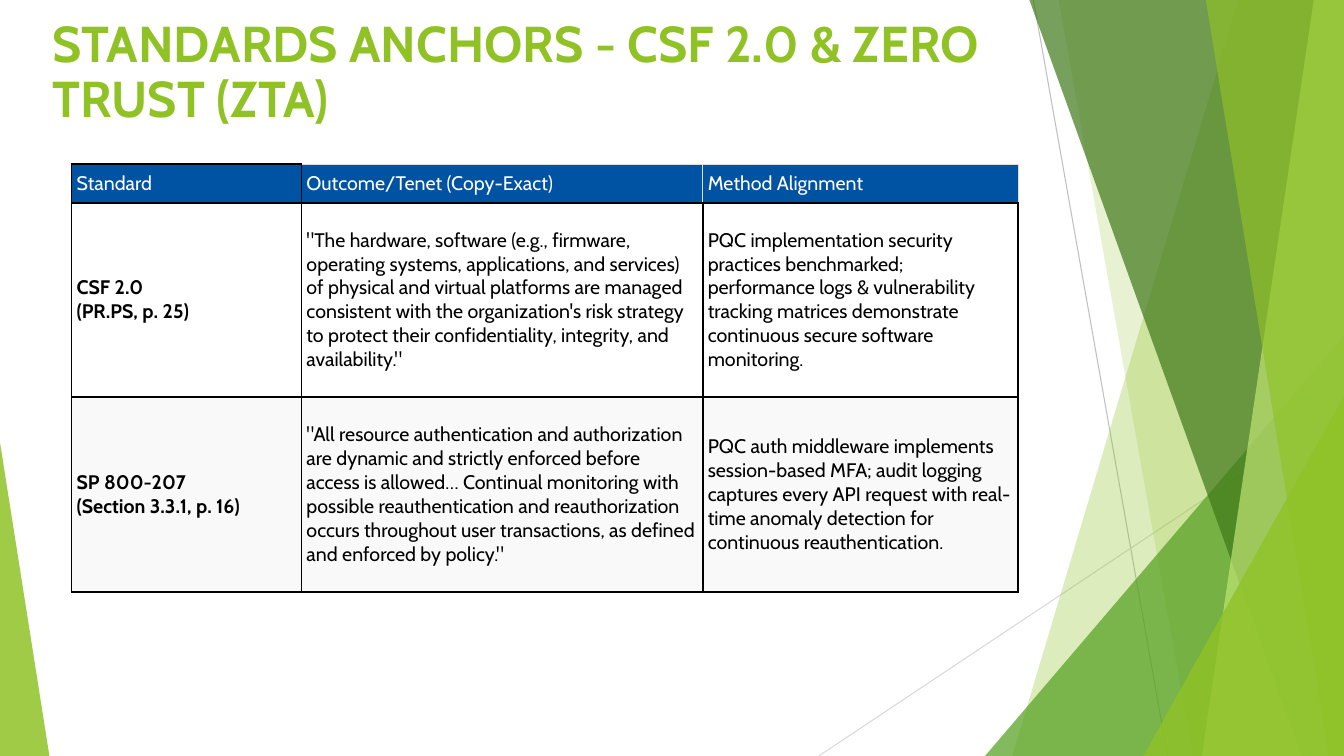
from dataclasses import dataclass

from lxml import etree
from pptx import Presentation
from pptx.dml.color import RGBColor
from pptx.enum import shapes, text
from pptx.oxml import parse_xml
from pptx.oxml.ns import nsdecls, qn
from pptx.util import Inches, Pt


@dataclass(frozen=True)
class Theme:
    font: str = "Cabin"
    title_size: int = 36
    table_size: int = 14
    lime: str = "90C226"
    green: str = "54A021"
    forest: str = "3F7819"
    pale: str = "C0E474"
    gray: str = "BFBFBF"
    light_gray: str = "D9D9D9"
    header: str = "0052A3"
    band: str = "F9F9F9"
    rule: str = "DDDDDD"
    white: str = "FFFFFF"
    black: str = "000000"


THEME = Theme()
WIDTH, HEIGHT = 13.33, 7.5

TITLE = "STANDARDS ANCHORS - CSF 2.0 & ZERO TRUST (ZTA)"
ROWS = [
    ("Standard", "Outcome/Tenet (Copy-Exact)", "Method Alignment"),
    (
        "CSF 2.0\v(PR.PS, p. 25)",
        "\"The hardware, software (e.g., firmware, operating systems, applications, and services) "
        "of physical and virtual platforms are managed consistent with the organization's risk "
        "strategy to protect their confidentiality, integrity, and availability.\"",
        "PQC implementation security practices benchmarked; performance logs & vulnerability "
        "tracking matrices demonstrate continuous secure software monitoring.",
    ),
    (
        "SP 800-207\v(Section 3.3.1, p. 16)",
        "\"All resource authentication and authorization are dynamic and strictly enforced before "
        "access is allowed… Continual monitoring with possible reauthentication and "
        "reauthorization occurs throughout user transactions, as defined and enforced by policy.\"",
        "PQC auth middleware implements session-based MFA; audit logging captures every API "
        "request with real-time anomaly detection for continuous reauthentication.",
    ),
]
TABLE_LEFT, TABLE_TOP = 0.71, 1.63
COL_WIDTHS = (2.28, 3.98, 3.13)
ROW_HEIGHTS = (0.38, 1.93, 1.93)
ROW_FILLS = (THEME.header, None, THEME.band)

# start, end, colour
HAIRLINES = [
    ((10.25, 0), (11.58, HEIGHT), THEME.gray),
    ((WIDTH, 4.03), (8.12, HEIGHT), THEME.light_gray),
]
# Bands run to the right edge: ("band", top x, bottom x, colour, opacity %)
# Wedges stand on the bottom edge: ("wedge", left, width, height, apex, colour, opacity %)
FACETS = [
    ("band", 12.28, 10.04, THEME.lime, 30),
    ("band", 10.5, 11.83, THEME.lime, 20),
    ("wedge", 9.77, 3.56, 4.17, 1, THEME.green, 72),
    ("band", 10.21, 12.91, THEME.forest, 70),
    ("band", 13.03, 11.92, THEME.pale, 70),
    ("band", 11.96, 13.18, THEME.lime, 65),
    ("wedge", 11.34, 1.99, 3.57, 1, THEME.lime, 80),
    ("wedge", 0, 0.49, 3.11, 0, THEME.lime, 85),
]


def rgb(color):
    return RGBColor.from_string(color)


def add_hairline(slide, start, end, color):
    line = slide.shapes.add_connector(
        shapes.MSO_CONNECTOR.STRAIGHT, *(Inches(v) for v in start + end))
    line.line.color.rgb = rgb(color)
    line.line.width = Pt(0.75)
    etree.SubElement(line._element.spPr, qn("a:effectLst"))


def paint(sp, color, opacity):
    """Give a shape a translucent fill with no outline or shadow."""
    sp.shadow.inherit = False
    sp.line.fill.background()
    sp.fill.solid()
    sp.fill.fore_color.rgb = rgb(color)
    srgb = sp._element.spPr.find(".//" + qn("a:srgbClr"))
    etree.SubElement(srgb, qn("a:alpha"), val=str(opacity * 1000))


def add_band(slide, top_x, bottom_x, color, opacity):
    points = [(top_x, 0), (WIDTH, 0), (WIDTH, HEIGHT), (bottom_x, HEIGHT)]
    points = [(Inches(x), Inches(y)) for x, y in points]
    builder = slide.shapes.build_freeform(*points[0])
    builder.add_line_segments(points[1:], close=True)
    paint(builder.convert_to_shape(), color, opacity)


def add_wedge(slide, left, width, height, apex, color, opacity):
    sp = slide.shapes.add_shape(
        shapes.MSO_SHAPE.ISOSCELES_TRIANGLE, Inches(left), Inches(HEIGHT - height),
        Inches(width), Inches(height))
    sp.adjustments[0] = apex
    paint(sp, color, opacity)


def style(p, size, color, bold):
    p.font.name = THEME.font
    p.font.size = Pt(size)
    p.font.bold = bold
    p.font.color.rgb = rgb(color)


def add_title(slide):
    box = slide.shapes.add_textbox(Inches(0.42), Inches(0.14), Inches(10.26), Inches(0.8))
    tf = box.text_frame
    tf.word_wrap = True
    tf.text = TITLE
    p = tf.paragraphs[0]
    p.line_spacing = 0.9
    style(p, THEME.title_size, THEME.lime, True)


def set_borders(cell, row, col):
    strong, faint = (THEME.black, 1.5), (THEME.rule, 0.75)
    edges = dict.fromkeys("LRTB", strong)
    if row == 0 and col > 0:
        edges.update(T=faint, R=faint)
        if col > 1:
            edges["L"] = faint
    tc_pr = cell._tc.get_or_add_tcPr()
    for i, (side, (color, width)) in enumerate(edges.items()):
        tc_pr.insert(i, parse_xml(
            f'<a:ln{side} {nsdecls("a")} w="{Pt(width)}"><a:solidFill>'
            f'<a:srgbClr val="{color}"/></a:solidFill></a:ln{side}>'))


def add_standards_table(slide):
    table = slide.shapes.add_table(
        len(ROWS), len(COL_WIDTHS), Inches(TABLE_LEFT), Inches(TABLE_TOP),
        Inches(sum(COL_WIDTHS)), Inches(sum(ROW_HEIGHTS))).table
    table.first_row = table.horz_banding = False
    for column, width in zip(table.columns, COL_WIDTHS):
        column.width = Inches(width)
    for r, (values, height, fill) in enumerate(zip(ROWS, ROW_HEIGHTS, ROW_FILLS)):
        table.rows[r].height = Inches(height)
        for c, value in enumerate(values):
            cell = table.cell(r, c)
            cell.text = value
            cell.vertical_anchor = text.MSO_ANCHOR.MIDDLE
            cell.margin_left = cell.margin_right = Inches(0.05)
            cell.margin_top = cell.margin_bottom = Inches(0.05)
            if fill:
                cell.fill.solid()
                cell.fill.fore_color.rgb = rgb(fill)
            else:
                cell.fill.background()
            set_borders(cell, r, c)
            style(cell.text_frame.paragraphs[0], THEME.table_size,
                  THEME.black if r else THEME.white, r > 0 and c == 0)


def main():
    prs = Presentation()
    prs.slide_width, prs.slide_height = Inches(WIDTH), Inches(HEIGHT)
    slide = prs.slides.add_slide(prs.slide_layouts[6])
    for hairline in HAIRLINES:
        add_hairline(slide, *hairline)
    draw = {"band": add_band, "wedge": add_wedge}
    for kind, *facet in FACETS:
        draw[kind](slide, *facet)
    add_title(slide)
    add_standards_table(slide)
    prs.save("out.pptx")


if __name__ == "__main__":
    main()
